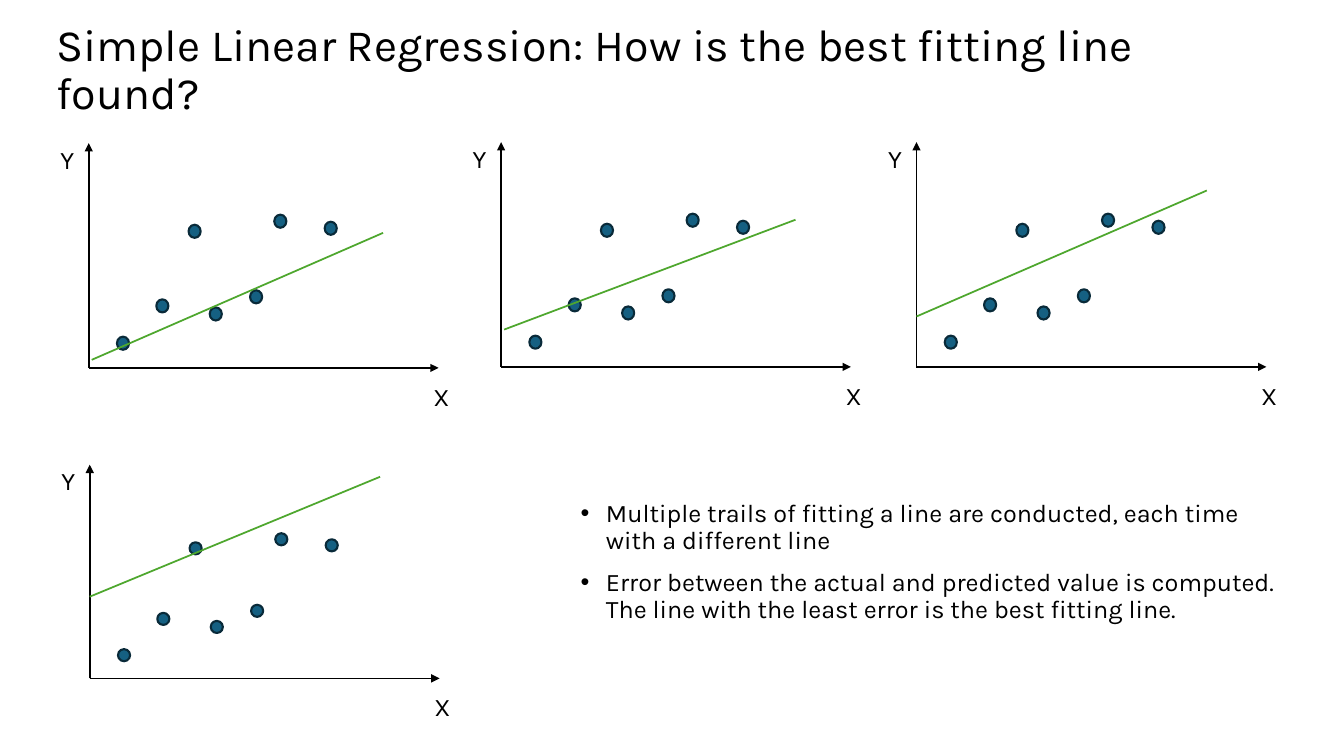
"""Build a slide comparing four trial lines through the same scatter of points."""
import pptx
import pptx.dml.color
import pptx.enum.shapes
import pptx.enum.text
import pptx.oxml
import pptx.oxml.ns
import pptx.util
import lxml.etree

PX = 9144
THEME = {
    "font": "Karla", "ink": "000000", "dot": "156082", "dot_edge": "092A39", "fit": "4EA72E",
    "title_size": 32, "text_size": 18, "dot_line": 1.5, "line": 1.25,
}
AXIS_WIDTH, AXIS_HEIGHT = 347, 223
DOT_WIDTH, DOT_HEIGHT = 12, 13
DOTS = [(99, 142), (28, 31), (67, 68), (120, 60), (160, 77), (184, 152), (234, 145)]
LABELS = [("Y", -38, -227), ("X", 332, 8)]
TRIALS = [
    {"origin": (88, 365), "stretch": 1, "fit": (3, -8, 292, -134)},
    {"origin": (497, 364), "stretch": 1, "fit": (3, -37, 292, -146)},
    {"origin": (909, 364), "stretch": 1, "fit": (0, -50, 288, -175)},
    {"origin": (89, 673), "stretch": 0.95, "fit": (0, -81, 288, -200)},
]
POINTS = [
    "Multiple trails of fitting a line are conducted, each time with a different line",
    "Error between the actual and predicted value is computed. "
    "The line with the least error is the best fitting line.",
]


def px(*lengths):
    """Turn px lengths into whole EMU."""
    return [pptx.util.Emu(round(length) * PX) for length in lengths]


def write(para, text, size):
    """Add one run in the slide's font and ink."""
    span = para.add_run()
    span.text = text
    span.font.name = THEME["font"]
    span.font.size = pptx.util.Pt(size)
    span.font.color.rgb = pptx.dml.color.RGBColor.from_string(THEME["ink"])


deck = pptx.Presentation()
deck.slide_width, deck.slide_height = px(1333, 750)
page = deck.slides.add_slide(deck.slide_layouts[1])

title = page.shapes.title
title.left, title.top, title.width, title.height = px(46, 26, 1196, 89)
title.text_frame.auto_size = pptx.enum.text.MSO_AUTO_SIZE.NONE
title.text_frame.vertical_anchor = pptx.enum.text.MSO_ANCHOR.MIDDLE
para = title.text_frame.paragraphs[0]
para.alignment = pptx.enum.text.PP_ALIGN.LEFT
para.line_spacing = 0.9
write(para, "Simple Linear Regression: How is the best fitting line found?", THEME["title_size"])

for trial in TRIALS:
    left, base = trial["origin"]
    stretch = trial["stretch"]
    chart = page.shapes.add_group_shape()

    for across, up in DOTS:
        dot = chart.shapes.add_shape(
            pptx.enum.shapes.MSO_SHAPE.OVAL,
            *px(left + across, base - up * stretch, DOT_WIDTH, DOT_HEIGHT * stretch))
        dot.shadow.inherit = False
        dot.fill.solid()
        dot.fill.fore_color.rgb = pptx.dml.color.RGBColor.from_string(THEME["dot"])
        dot.line.color.rgb = pptx.dml.color.RGBColor.from_string(THEME["dot_edge"])
        dot.line.width = pptx.util.Pt(THEME["dot_line"])

    strokes = [
        ((0, 0, 0, -AXIS_HEIGHT * stretch), "ink", True),
        ((0, 0, AXIS_WIDTH, 0), "ink", True),
        (trial["fit"], "fit", False),
    ]
    for (x1, y1, x2, y2), color, arrow in strokes:
        stroke = chart.shapes.add_connector(
            pptx.enum.shapes.MSO_CONNECTOR.STRAIGHT,
            *px(left + x1, base + y1, left + x2, base + y2))
        stroke.line.color.rgb = pptx.dml.color.RGBColor.from_string(THEME[color])
        stroke.line.width = pptx.util.Pt(THEME["line"])
        properties = stroke._element.spPr
        lxml.etree.SubElement(properties, pptx.oxml.ns.qn("a:effectLst"))
        if arrow:
            outline = properties.find(pptx.oxml.ns.qn("a:ln"))
            lxml.etree.SubElement(outline, pptx.oxml.ns.qn("a:tailEnd"), type="triangle")

    for letter, across, down in LABELS:
        box = chart.shapes.add_textbox(*px(left + across, base + down * stretch, 30, 32 * stretch))
        box.text_frame.word_wrap = False
        box.text_frame.auto_size = pptx.enum.text.MSO_AUTO_SIZE.SHAPE_TO_FIT_TEXT
        write(box.text_frame.paragraphs[0], letter, THEME["text_size"])

body = page.placeholders[1]
body.left, body.top, body.width, body.height = px(566, 492, 710, 146)
body.text_frame.auto_size = pptx.enum.text.MSO_AUTO_SIZE.NONE
for index, point in enumerate(POINTS):
    para = body.text_frame.add_paragraph() if index else body.text_frame.paragraphs[0]
    indents = para._p.get_or_add_pPr()
    indents.set("marL", str(25 * PX))
    indents.set("indent", str(-25 * PX))
    lxml.etree.SubElement(indents, pptx.oxml.ns.qn("a:buFont"), typeface="Arial")
    lxml.etree.SubElement(indents, pptx.oxml.ns.qn("a:buChar"), char="•")
    para.line_spacing = 0.9
    para.space_before = pptx.util.Pt(10 if index else 0)
    write(para, point, THEME["text_size"])

deck.save("out.pptx")
